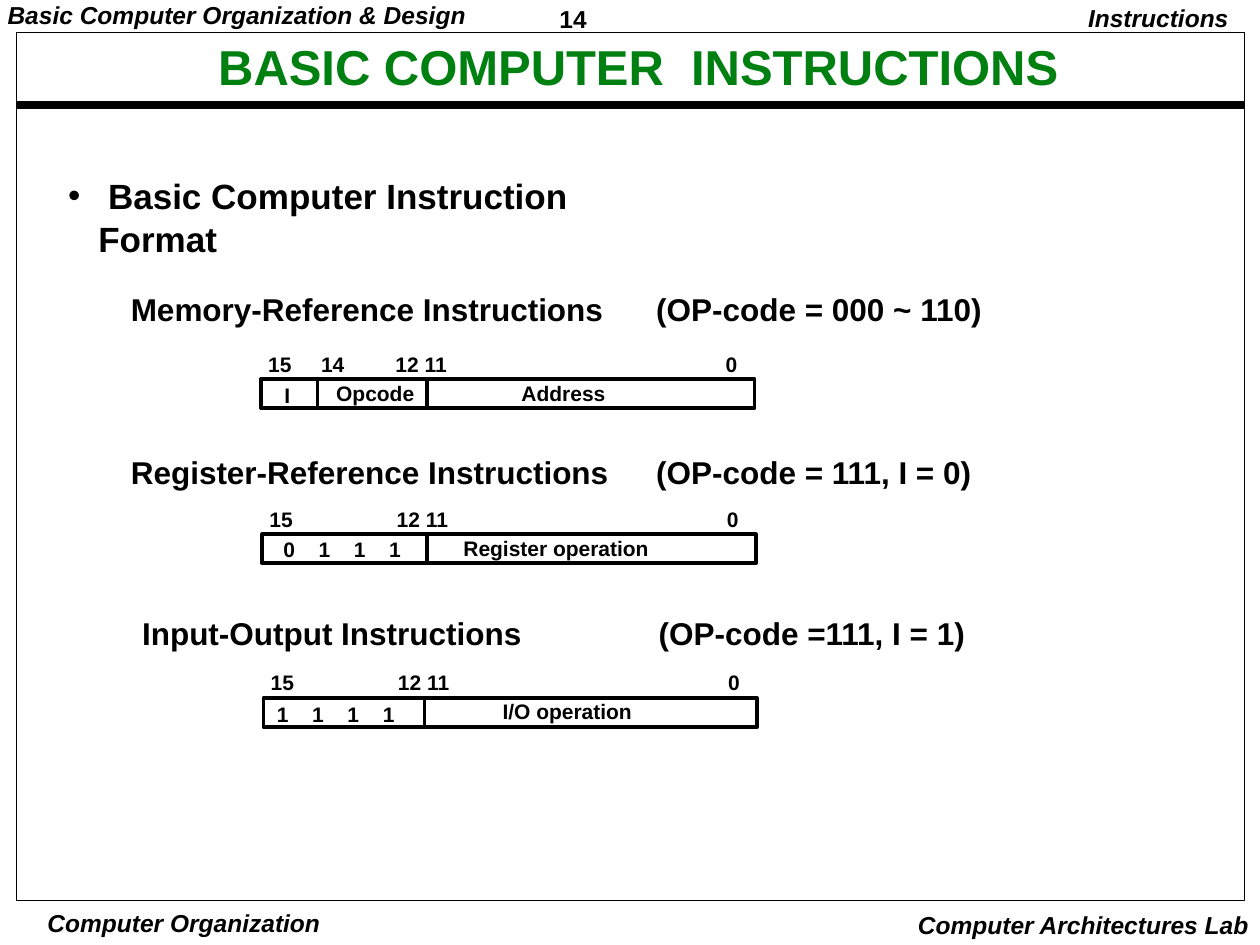
from dataclasses import dataclass

from lxml import etree
from pptx import Presentation
from pptx.dml import color
from pptx.enum import shapes, text
from pptx.oxml import ns
from pptx.util import Inches, Pt


@dataclass(frozen=True)
class Theme:
    font: str = "Arial"
    ink: str = "000000"
    heading: str = "008011"
    title: int = 28
    bullet: int = 20
    section: int = 18
    margin: int = 14
    label: int = 12
    hairline: float = 0.5
    box_line: float = 2
    rule_line: float = 4.5


THEME = Theme()
LEFT, CENTER, RIGHT = (text.PP_ALIGN.LEFT, text.PP_ALIGN.CENTER, text.PP_ALIGN.RIGHT)
TIGHT = (0.07, 0.03)
NORMAL = (0.1, 0.05)


def rgb(value):
    return color.RGBColor.from_string(value)


def write(frame, words, size, ink=THEME.ink, italic=False, align=LEFT,
          spacing=0.9, insets=NORMAL, wrap=False):
    frame.word_wrap = wrap
    frame.auto_size = text.MSO_AUTO_SIZE.NONE if wrap else text.MSO_AUTO_SIZE.SHAPE_TO_FIT_TEXT
    frame.margin_left = frame.margin_right = Inches(insets[0])
    frame.margin_top = frame.margin_bottom = Inches(insets[1])
    paragraph = frame.paragraphs[0]
    paragraph.alignment = align
    paragraph.line_spacing = spacing
    run = paragraph.add_run()
    run.text = words
    run.font.name = THEME.font
    run.font.size = Pt(size)
    run.font.bold = True
    run.font.italic = italic
    run.font.color.rgb = rgb(ink)
    return paragraph


def add_text(slide, words, at, size, **style):
    box = slide.shapes.add_textbox(*map(Inches, at))
    return write(box.text_frame, words, size, **style)


def set_tabs(paragraph, stops):
    tabs = etree.SubElement(paragraph._p.get_or_add_pPr(), ns.qn("a:tabLst"))
    for stop in stops:
        etree.SubElement(tabs, ns.qn("a:tab"), pos=str(Inches(stop)), algn="l")


def set_bullet(paragraph, indent):
    properties = paragraph._p.get_or_add_pPr()
    properties.set("marL", str(Inches(indent)))
    properties.set("indent", str(-Inches(indent)))
    etree.SubElement(properties, ns.qn("a:buFont"), typeface=THEME.font)
    etree.SubElement(properties, ns.qn("a:buChar"), char="•")


def add_outline(slide, at, width):
    outline = slide.shapes.add_shape(shapes.MSO_SHAPE.RECTANGLE, *map(Inches, at))
    outline.shadow.inherit = False
    outline.fill.background()
    outline.line.color.rgb = rgb(THEME.ink)
    outline.line.width = Pt(width)


def add_line(slide, start, end, width):
    line = slide.shapes.add_connector(shapes.MSO_CONNECTOR.STRAIGHT, *map(Inches, start + end))
    line.line.color.rgb = rgb(THEME.ink)
    line.line.width = Pt(width)
    etree.SubElement(line._element.spPr, ns.qn("a:effectLst"))


def add_title(slide, words):
    title = slide.shapes.title
    title.left, title.top, title.width, title.height = map(Inches, (1.66, 0.33, 6.81, 0.46))
    title.text_frame.vertical_anchor = text.MSO_ANCHOR.MIDDLE
    write(title.text_frame, words, THEME.title, ink=THEME.heading, align=CENTER,
          spacing=0.87, insets=(0, 0.03), wrap=True)


def add_page_frame(slide):
    add_text(slide, "14", (4.37, 0, 1.08, 0.29), THEME.margin, spacing=1.01, insets=TIGHT)
    corners = [
        ("Basic Computer Organization & Design", (-0.01, 0, 4, 0.27), LEFT, 0.9, TIGHT),
        ("Instructions", (8.35, 0, 1.5, 0.31), RIGHT, 0.9, NORMAL),
        ("Computer Organization", (0.21, 7.2, 2.5, 0.26), CENTER, 1.0, (0.03, 0.01)),
        ("Computer Architectures Lab", (7.11, 7.17, 2.9, 0.33), RIGHT, 1.0, NORMAL),
    ]
    for words, at, align, spacing, insets in corners:
        add_text(slide, words, at, THEME.margin, italic=True, align=align,
                 spacing=spacing, insets=insets)
    add_line(slide, (0.13, 0.83), (9.87, 0.83), THEME.rule_line)
    add_outline(slide, (0.13, 0.26, 9.75, 6.89), THEME.hairline)


def add_section_heading(slide, name, opcode, left, top, opcode_stop):
    heading = add_text(slide, f"{name}\t{opcode}", (left, top, 7.1, 0.37), THEME.section)
    set_tabs(heading, [opcode_stop])


def add_instruction_format(slide, left, top, dividers, high_bits, fields):
    height = 0.23
    add_outline(slide, (left, top, 3.92, height), THEME.box_line)
    for offset in dividers:
        add_line(slide, (left + offset, top), (left + offset, top + height), THEME.box_line)
    bit_numbers = [(*high_bits, -0.04, -0.25), ("12 11", 0.7, 0.97, -0.25),
                   ("0", 0.32, 3.59, -0.25)]
    for words, width, dx, dy in bit_numbers + fields:
        label = add_text(slide, words, (left + dx, top + dy, width, 0.28), THEME.label)
        if "\t" in words:
            pitch = 0.42 if words == high_bits[0] else 0.28
            set_tabs(label, [pitch * n for n in range(1, words.count("\t") + 1)])


def main():
    deck = Presentation()
    deck.slide_width, deck.slide_height = Inches(10), Inches(7.5)
    slide = deck.slides.add_slide(deck.slide_layouts[5])
    add_page_frame(slide)
    add_title(slide, "BASIC COMPUTER  INSTRUCTIONS")
    topic = add_text(slide, " Basic Computer Instruction Format", (0.47, 1.35, 4.98, 0.74),
                     THEME.bullet, spacing=1.02, insets=TIGHT, wrap=True)
    set_bullet(topic, 0.24)

    headings = [
        ("Memory-Reference Instructions", "(OP-code = 000 ~ 110)", 0.94, 2.29, 4.17),
        ("Register-Reference Instructions", "(OP-code = 111, I = 0)", 0.94, 3.58, 4.17),
        ("Input-Output Instructions", "(OP-code =111, I = 1)", 1.03, 4.86, 4.1),
    ]
    for heading in headings:
        add_section_heading(slide, *heading)

    formats = [
        (2.07, 3.01, [0.45, 1.32], ("15\t14", 1),
         [("I", 0.3, 0.09, 0), ("Opcode", 0.9, 0.5, -0.02), ("Address", 0.95, 1.97, -0.02)]),
        (2.08, 4.24, [1.31], ("15", 0.5),
         [("0\t1\t1\t1", 1.4, 0.07, -0.01), ("Register operation", 1.8, 1.5, -0.02)]),
        (2.09, 5.54, [1.28], ("15", 0.5),
         [("1\t1\t1\t1", 1.4, 0.01, 0), ("I/O operation", 1.4, 1.8, -0.02)]),
    ]
    for instruction_format in formats:
        add_instruction_format(slide, *instruction_format)
    deck.save("out.pptx")


main()
